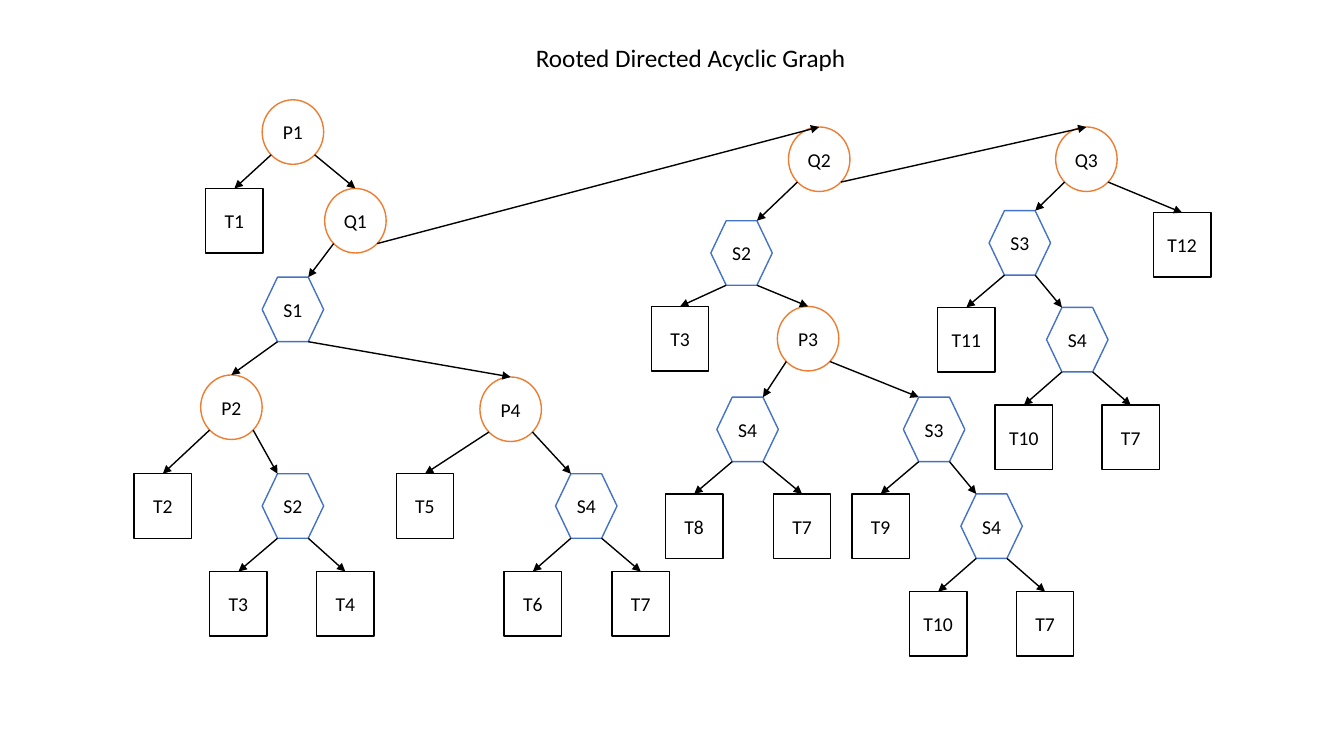
from lxml import etree
from pptx import Presentation
from pptx import util as u
from pptx.dml.color import RGBColor
from pptx.enum import shapes, text
from pptx.oxml import ns

FONT, BLACK = "Calibri", "000000"
NODE_H = 0.64

# First letter of a label -> preset shape, width, line colour
CIRCLE = (shapes.MSO_SHAPE.OVAL, 0.61, "ED7D31")
KINDS = {
    "P": CIRCLE,
    "Q": CIRCLE,
    "S": (shapes.MSO_SHAPE.HEXAGON, 0.61, "4472C4"),
    "T": (shapes.MSO_SHAPE.RECTANGLE, 0.57, BLACK),
}

# Share of the size at which arrows leave a node: inset from the side, depth
EXITS = {"P": (0.146, 0.854), "Q": (0.146, 0.854), "S": (0.25, 1)}

# Each node: label, left, top, children
Q3 = ("Q3", 10.47, 1.26, [
    ("S3", 9.81, 2.09, [
        ("T11", 9.3, 3.05, []),
        ("S4", 10.38, 3.05, [
            ("T10", 9.87, 4.02, []),
            ("T7", 10.93, 4.02, [])])]),
    ("T12", 11.44, 2.11, [])])

Q2 = ("Q2", 7.82, 1.26, [
    ("S2", 7.05, 2.19, [
        ("T3", 6.46, 3.04, []),
        ("P3", 7.71, 3.04, [
            ("S4", 7.11, 3.94, [
                ("T8", 6.6, 4.9, []),
                ("T7", 7.67, 4.9, [])]),
            ("S3", 8.96, 3.94, [
                ("T9", 8.45, 4.9, []),
                ("S4", 9.53, 4.9, [
                    ("T10", 9.02, 5.87, []),
                    ("T7", 10.08, 5.87, [])])])])]),
    Q3])

S1 = ("S1", 2.6, 2.75, [
    ("P2", 1.99, 3.72, [
        ("T2", 1.33, 4.7, []),
        ("S2", 2.6, 4.7, [
            ("T3", 2.08, 5.67, []),
            ("T4", 3.14, 5.67, [])])]),
    ("P4", 4.76, 3.74, [
        ("T5", 3.93, 4.7, []),
        ("S4", 5.51, 4.7, [
            ("T6", 5, 5.67, []),
            ("T7", 6.07, 5.67, [])])])])

P1 = ("P1", 2.6, 0.99, [
    ("T1", 2.04, 1.87, []),
    ("Q1", 3.22, 1.87, [S1, Q2])])


def color(value):
    return RGBColor.from_string(value)


def set_text(tf, words, size):
    tf.text = words
    p = tf.paragraphs[0]
    p.alignment = text.PP_ALIGN.CENTER
    r = p.runs[0]
    r.font.name = FONT
    r.font.size = u.Pt(size)
    r.font.color.rgb = color(BLACK)


def add_title(s, words):
    tf = s.shapes.add_textbox(u.Inches(2.41), u.Inches(0.37),
                              u.Inches(8.88), u.Inches(0.4)).text_frame
    tf.word_wrap = True
    tf.auto_size = text.MSO_AUTO_SIZE.SHAPE_TO_FIT_TEXT
    set_text(tf, words, 18)


def add_node(s, label, left, top):
    preset, width, line = KINDS[label[0]]
    sp = s.shapes.add_shape(preset, u.Inches(left), u.Inches(top),
                            u.Inches(width), u.Inches(NODE_H))
    sp.shadow.inherit = False
    sp.fill.background()
    sp.line.color.rgb = color(line)
    sp.line.width = u.Pt(1)
    tf = sp.text_frame
    tf.margin_left = tf.margin_right = 0
    tf.word_wrap = False
    tf.vertical_anchor = text.MSO_ANCHOR.MIDDLE
    set_text(tf, label, 14)


def add_arrow(s, start, end):
    points = [u.Inches(v) for v in (*start, *end)]
    arrow = s.shapes.add_connector(shapes.MSO_CONNECTOR.STRAIGHT, *points)
    arrow.line.color.rgb = color(BLACK)
    arrow.line.width = u.Pt(1)
    etree.SubElement(arrow.line._get_or_add_ln(), ns.qn("a:tailEnd"), type="triangle")
    etree.SubElement(arrow._element.spPr, ns.qn("a:effectLst"))


def add_edge(s, parent, child):
    label, left, top, _ = parent
    child_label, child_left, child_top, _ = child
    width, child_width = KINDS[label[0]][1], KINDS[child_label[0]][1]
    goes_right = child_left + child_width / 2 > left + width / 2

    # Leave on the side that faces the child
    inset, depth = EXITS[label[0]]
    leave = 1 - inset if goes_right else inset
    # Enter a hexagon at its nearer top corner, other nodes at the top centre
    enter = 0.5
    if child_label[0] == "S":
        enter = 0.25 if goes_right else 0.75
    add_arrow(s, (left + width * leave, top + NODE_H * depth),
              (child_left + child_width * enter, child_top))


def add_tree(s, node):
    label, left, top, children = node
    add_node(s, label, left, top)
    for child in children:
        add_tree(s, child)
        add_edge(s, node, child)


def main():
    prs = Presentation()
    prs.slide_width, prs.slide_height = u.Inches(13.33), u.Inches(7.5)
    s = prs.slides.add_slide(prs.slide_layouts[6])
    add_title(s, "Rooted Directed Acyclic Graph")
    add_tree(s, P1)
    prs.save("out.pptx")


main()
